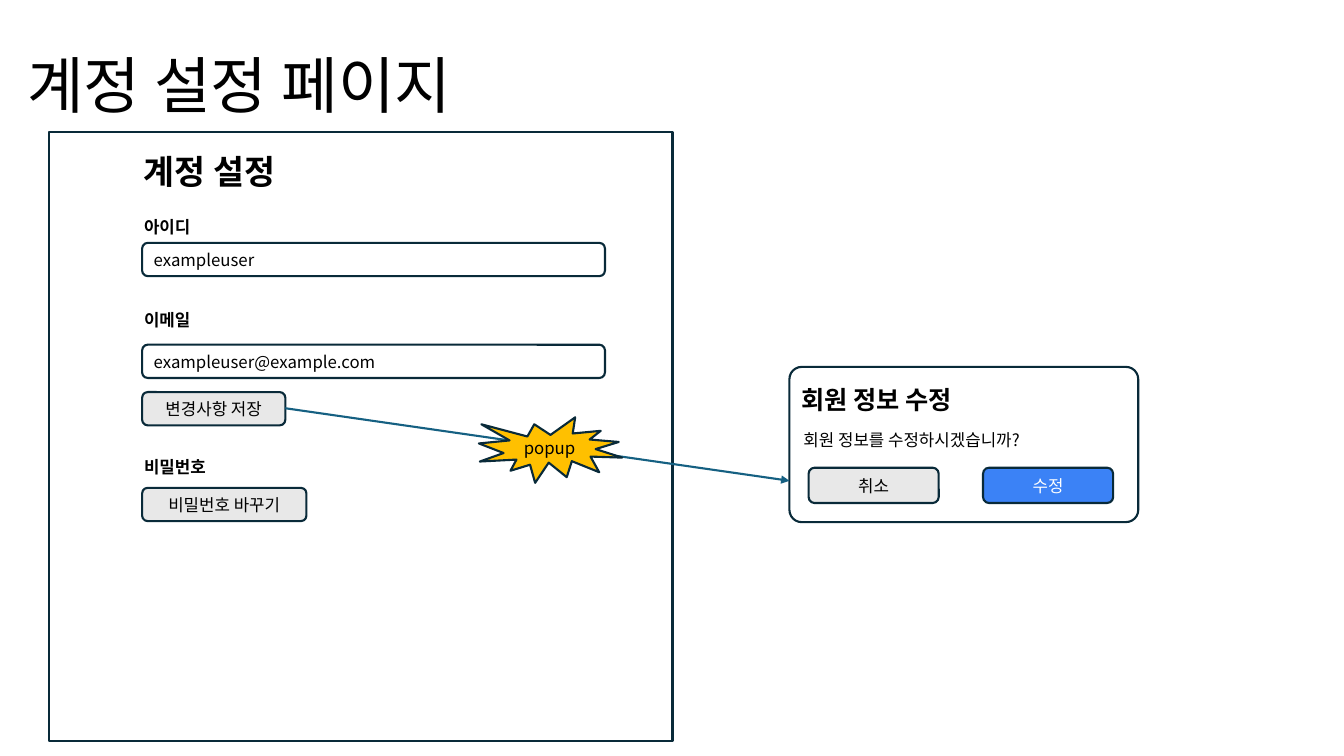
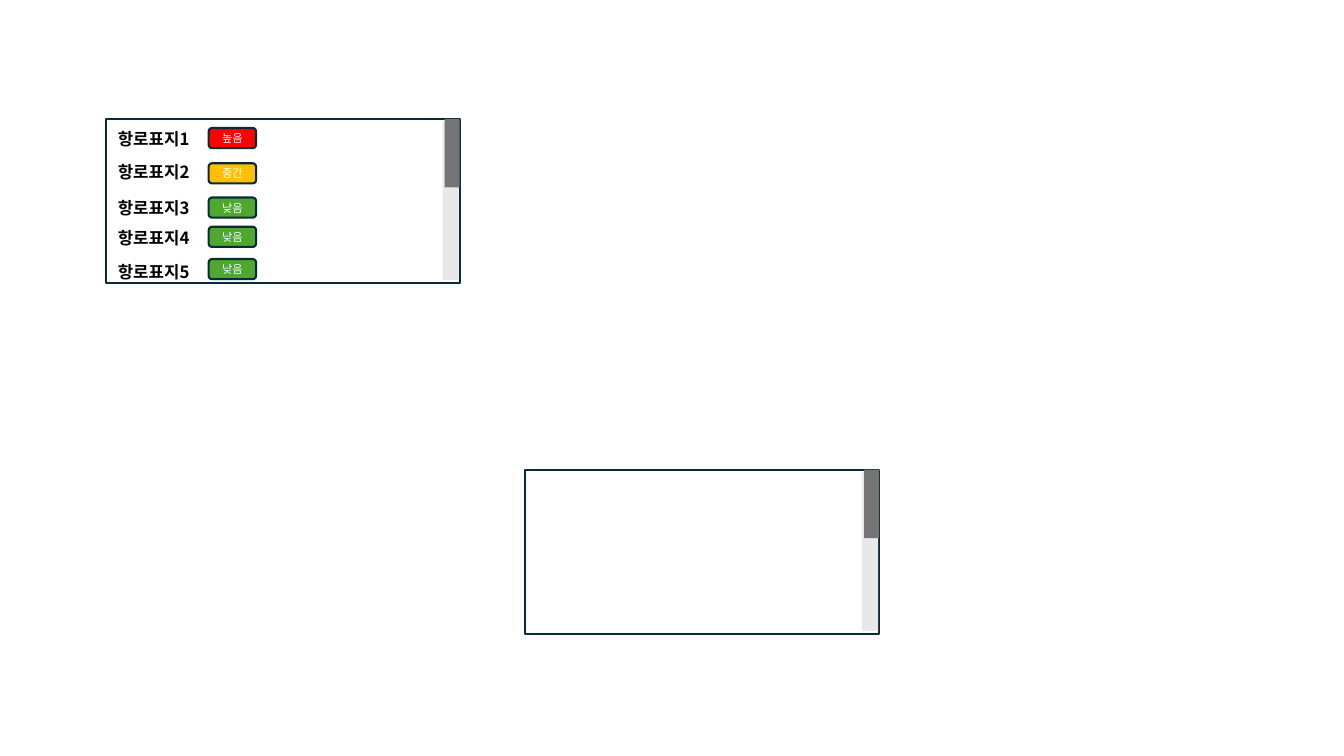
import pptx
import pptx.dml.color
import pptx.enum.shapes
import pptx.enum.text
import pptx.oxml.ns
import pptx.util
from lxml import etree

Inches = pptx.util.Inches
Pt = pptx.util.Pt
SHAPES = pptx.enum.shapes.MSO_SHAPE
ALIGN = pptx.enum.text.PP_ALIGN
ANCHOR = pptx.enum.text.MSO_ANCHOR
AUTO_SIZE = pptx.enum.text.MSO_AUTO_SIZE
qn = pptx.oxml.ns.qn

FONT = "Noto Sans CJK KR"
BLACK, WHITE, OUTLINE = "000000", "FFFFFF", "092A39"
GREY, DARK_GREY = "E8E8E8", "747474"
BLUE, ARROW_BLUE = "3B82F6", "156082"
RED, AMBER, GREEN = "FF0000", "FFC000", "4EA72E"


def color(value):
    return pptx.dml.color.RGBColor.from_string(value)


def write(shape, text, size=12, ink=BLACK, bold=False, align=ALIGN.LEFT,
          anchor=ANCHOR.MIDDLE, wrap=True, spacing=None):
    frame = shape.text_frame
    frame.word_wrap = wrap
    frame.vertical_anchor = anchor
    paragraph = frame.paragraphs[0]
    paragraph.alignment = align
    if spacing:
        paragraph.line_spacing = spacing
    run = paragraph.add_run()
    run.text = text
    run.font.size = Pt(size)
    run.font.bold = bold
    run.font.color.rgb = color(ink)
    run.font.name = FONT
    properties = run.font._element
    etree.SubElement(properties, qn("a:ea")).set("typeface", FONT)


def add_box(slide, kind, left, top, width, height, fill=WHITE, line=OUTLINE):
    shape = slide.shapes.add_shape(
        kind, Inches(left), Inches(top), Inches(width), Inches(height))
    shape.shadow.inherit = False
    shape.fill.solid()
    shape.fill.fore_color.rgb = color(fill)
    if line:
        shape.line.color.rgb = color(line)
        shape.line.width = Pt(1.5)
    else:
        shape.line.fill.background()
    return shape


def add_label(slide, text, left, top, width, height=0.3, bold=True, size=12):
    label = slide.shapes.add_textbox(
        Inches(left), Inches(top), Inches(width), Inches(height))
    write(label, text, size=size, bold=bold, anchor=ANCHOR.TOP, wrap=False)
    label.text_frame.auto_size = AUTO_SIZE.SHAPE_TO_FIT_TEXT


def add_button(slide, text, left, top, width, height=0.33, fill=GREY,
               ink=BLACK, size=12, align=ALIGN.CENTER):
    button = add_box(slide, SHAPES.ROUNDED_RECTANGLE, left, top, width, height, fill)
    write(button, text, size=size, ink=ink, align=align)


def add_title(slide, text):
    title = slide.shapes.add_textbox(
        Inches(0.17), Inches(0.15), Inches(12.99), Inches(1.45))
    write(title, text, size=44, spacing=0.9)


def add_arrow(slide, start, end):
    arrow = slide.shapes.add_connector(
        pptx.enum.shapes.MSO_CONNECTOR.STRAIGHT,
        Inches(start[0]), Inches(start[1]), Inches(end[0]), Inches(end[1]))
    arrow.line.color.rgb = color(ARROW_BLUE)
    arrow.line.width = Pt(1.5)
    etree.SubElement(arrow.line._get_or_add_ln(), qn("a:tailEnd")).set("type", "triangle")
    etree.SubElement(arrow._element.spPr, qn("a:effectLst"))


def add_confirm_dialog(slide, left, top):
    dialog = add_box(slide, SHAPES.ROUNDED_RECTANGLE, left, top, 3.46, 1.54)
    dialog.adjustments[0] = 0.079
    add_label(slide, "회원 정보 수정", left + 0.02, top + 0.12, 1.9, 0.4, size=18)
    add_label(slide, "회원 정보를 수정하시겠습니까?", left + 0.04, top + 0.57, 2.59, bold=False)
    choices = [("취소", GREY, BLACK), ("수정", BLUE, WHITE)]
    for index, (text, fill, ink) in enumerate(choices):
        add_button(slide, text, left + 0.19 + index * 1.73, top + 1, 1.29, 0.35, fill, ink)


def add_settings_form(slide, left, top):
    add_box(slide, SHAPES.RECTANGLE, left, top, 6.18, 6.04)
    label_left, field_left = left + 0.84, left + 0.92
    add_label(slide, "계정 설정", label_left, top + 0.14, 1.67, 0.5, size=24)
    for text, offset, width in [("아이디", 0.79, 0.71), ("이메일", 1.71, 0.71),
                                ("비밀번호", 3.17, 0.88)]:
        add_label(slide, text, label_left, top + offset, width)
    for text, offset in [("exampleuser", 1.1), ("exampleuser@example.com", 2.11)]:
        add_button(slide, text, field_left, top + offset, 4.59, fill=WHITE, align=ALIGN.LEFT)
    for text, offset, width in [("변경사항 저장", 2.58, 1.42), ("비밀번호 바꾸기", 3.53, 1.63)]:
        add_button(slide, text, field_left, top + offset, width)


def add_scroll_panel(slide, left, top):
    add_box(slide, SHAPES.RECTANGLE, left, top, 3.51, 1.63)
    add_box(slide, SHAPES.RECTANGLE, left + 3.34, top + 0.02, 0.16, 1.58, GREY, None)
    add_box(slide, SHAPES.RECTANGLE, left + 3.36, top, 0.15, 0.68, DARK_GREY, None)


def add_beacon_list(slide, left, top):
    add_scroll_panel(slide, left, top)
    beacons = [
        ("항로표지1", 0.05, "높음", 0.09, RED),
        ("항로표지2", 0.38, "중간", 0.44, AMBER),
        ("항로표지3", 0.73, "낮음", 0.78, GREEN),
        ("항로표지4", 1.03, "낮음", 1.07, GREEN),
        ("항로표지5", 1.37, "낮음", 1.39, GREEN),
    ]
    for name, name_offset, level, level_offset, fill in beacons:
        add_label(slide, name, left + 0.02, top + name_offset, 0.97)
        add_button(slide, level, left + 1.02, top + level_offset, 0.47, 0.2, fill, WHITE, 8)


def build_settings_slide(slide):
    add_title(slide, "계정 설정 페이지")
    add_confirm_dialog(slide, 7.83, 3.64)
    add_settings_form(slide, 0.49, 1.31)
    add_arrow(slide, (2.83, 4.05), (7.83, 4.77))
    burst = add_box(slide, SHAPES.EXPLOSION1, 4.75, 4.14, 1.42, 0.65, AMBER)
    write(burst, "popup", align=ALIGN.CENTER)


def build_beacon_slide(slide):
    add_beacon_list(slide, 1.05, 1.18)
    add_scroll_panel(slide, 5.21, 4.66)


def main():
    presentation = pptx.Presentation()
    presentation.slide_width = Inches(13.33)
    presentation.slide_height = Inches(7.5)
    for build in (build_settings_slide, build_beacon_slide):
        build(presentation.slides.add_slide(presentation.slide_layouts[6]))
    presentation.save("out.pptx")


if __name__ == "__main__":
    main()
